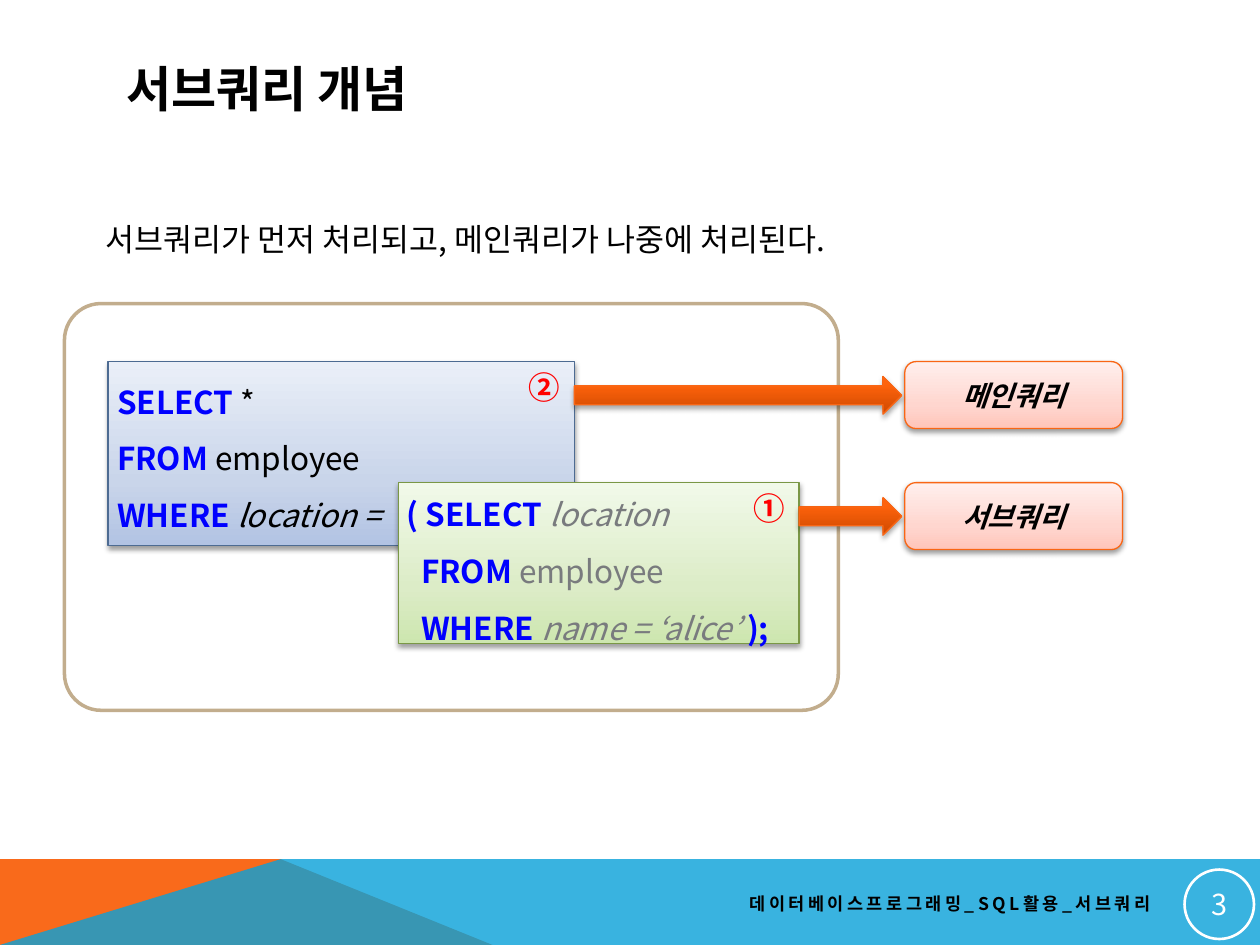
from dataclasses import dataclass

from pptx import Presentation
from pptx.dml.color import RGBColor
from pptx.enum.shapes import MSO_SHAPE
from pptx.enum.text import MSO_ANCHOR, PP_ALIGN
from pptx.oxml import parse_xml
from pptx.oxml.ns import qn
from pptx.util import Cm, Pt

RECTANGLE = MSO_SHAPE.RECTANGLE
ROUNDED = MSO_SHAPE.ROUNDED_RECTANGLE
ARROW = MSO_SHAPE.RIGHT_ARROW
OVAL = MSO_SHAPE.OVAL
MIDDLE, TOP = MSO_ANCHOR.MIDDLE, MSO_ANCHOR.TOP
LEFT, CENTER, RIGHT = PP_ALIGN.LEFT, PP_ALIGN.CENTER, PP_ALIGN.RIGHT

FONT = "Noto Sans CJK KR"
NAMESPACE = 'xmlns:a="http://schemas.openxmlformats.org/drawingml/2006/main"'
COLORS = {
    "black": "000000", "white": "FFFFFF", "keyword": "0000FF", "muted": "797B7E",
    "number": "FF0000", "frame": "C2AD8D", "orange": "F96A1B", "band": "08A1D9",
}
MAIN_TOP, SUB_TOP = 7.29, 9.73
ARROW_TIP = 18.18


@dataclass(frozen=True)
class Box:
    left: float
    top: float
    width: float
    height: float

    def lengths(self) -> list:
        return [Cm(value) for value in (self.left, self.top, self.width, self.height)]


@dataclass(frozen=True)
class Style:
    stops: tuple
    line: str
    shadow_alpha: int = 38
    shadow_distance: float = 1.6


@dataclass(frozen=True)
class Piece:
    """A stretch of text in one format."""
    text: str
    color: str = "black"
    bold: bool = False
    italic: bool = False


BLUE = Style(((0, "B2C3E3"), (35, "C9D5EA"), (100, "EAEFF8")), "4D6B92")
GREEN = Style(((0, "CDE6AF"), (35, "DCECC7"), (100, "F1F9E9")), "7A9746")
PINK = Style(((0, "FFC5BA"), (35, "FFD6CF"), (100, "FFEFED")), "F96615")
ORANGE = Style(((0, "CE4900"), (80, "FF630C"), (100, "FF640E")), "F96615", 35, 1.8)


def keyword(text: str) -> Piece:
    return Piece(text, "keyword", bold=True)


MAIN_QUERY = [
    [keyword("SELECT"), Piece(" *")],
    [keyword("FROM"), Piece(" employee")],
    [keyword("WHERE "), Piece("location =", italic=True)],
]
SUB_QUERY = [
    [keyword("( SELECT "), Piece("location", "muted", italic=True)],
    [keyword("  FROM"), Piece(" employee", "muted")],
    [keyword("  WHERE "), Piece("name = ‘alice’ ", "muted", italic=True), keyword(");")],
]


def rgb(name: str) -> RGBColor:
    return RGBColor.from_string(COLORS[name])


def write(shape, lines: list, size: float, align=LEFT, anchor=MIDDLE,
          line_spacing: float = 1.0, tracking: float = 0) -> None:
    text_frame = shape.text_frame
    text_frame.vertical_anchor = anchor
    for index, pieces in enumerate(lines):
        paragraph = text_frame.add_paragraph() if index else text_frame.paragraphs[0]
        paragraph.alignment = align
        paragraph.line_spacing = line_spacing
        for piece in pieces:
            run = paragraph.add_run()
            run.text = piece.text
            font = run.font
            font.size, font.name = Pt(size), FONT
            font.bold, font.italic = piece.bold, piece.italic
            font.color.rgb = rgb(piece.color)
            properties = run._r.get_or_add_rPr()
            properties.append(parse_xml(f'<a:ea {NAMESPACE} typeface="{FONT}"/>'))
            if tracking:
                properties.set("spc", str(int(tracking * 100)))


def add_text(slide, box: Box, lines: list, size: float, wrap: bool = True, **layout):
    shape = slide.shapes.add_textbox(*box.lengths())
    shape.text_frame.word_wrap = wrap
    write(shape, lines, size, **layout)


def add_styled(slide, kind, box: Box, style: Style):
    """Add a preset shape with an upward gradient, thin line and soft shadow."""
    shape = slide.shapes.add_shape(kind, *box.lengths())
    shape.line.color.rgb = RGBColor.from_string(style.line)
    shape.line.width = Pt(0.75)
    shape.shadow.inherit = False
    shape.fill.background()
    properties = shape._element.spPr
    stops = "".join(f'<a:gs pos="{position * 1000}"><a:srgbClr val="{color}"/></a:gs>'
                    for position, color in style.stops)
    gradient = parse_xml(f'<a:gradFill {NAMESPACE} rotWithShape="1"><a:gsLst>{stops}</a:gsLst>'
                         '<a:lin ang="16200000" scaled="0"/></a:gradFill>')
    properties.replace(properties.find(qn("a:noFill")), gradient)
    properties.find(qn("a:effectLst")).append(parse_xml(
        f'<a:outerShdw {NAMESPACE} blurRad="{Pt(3.1)}" dist="{Pt(style.shadow_distance)}" '
        'dir="5400000" rotWithShape="0"><a:srgbClr val="000000">'
        f'<a:alpha val="{style.shadow_alpha * 1000}"/></a:srgbClr></a:outerShdw>'))
    return shape


def add_polygon(slide, points: list, color: str, opacity: int = 100) -> None:
    vertices = [(Cm(x), Cm(y)) for x, y in points]
    builder = slide.shapes.build_freeform(*vertices[0])
    builder.add_line_segments(vertices[1:], close=True)
    shape = builder.convert_to_shape()
    shape.shadow.inherit = False
    shape.fill.solid()
    shape.fill.fore_color.rgb = rgb(color)
    shape.line.fill.background()
    if opacity < 100:
        shape._element.spPr.find(qn("a:solidFill"))[0].append(
            parse_xml(f'<a:alpha {NAMESPACE} val="{opacity * 1000}"/>'))


def add_outlined(slide, kind, box: Box, color: str, width: float):
    shape = slide.shapes.add_shape(kind, *box.lengths())
    shape.shadow.inherit = False
    shape.fill.background()
    shape.line.color.rgb = rgb(color)
    shape.line.width = Pt(width)
    return shape


def add_footer(slide) -> None:
    bottom, top, peak = 19.05, 17.32, 5.66
    add_polygon(slide, [(0, bottom), (0, top), (peak, top), (9.93, bottom)], "orange")
    add_polygon(slide, [(0, bottom), (peak, top), (25.4, top), (25.4, bottom)], "band", 80)
    badge = add_outlined(slide, OVAL, Box(23.88, 17.53, 1.4, 1.4), "white", 1.5)
    frame = badge.text_frame
    frame.margin_left = frame.margin_right = frame.margin_top = frame.margin_bottom = Cm(0.03)
    write(badge, [[Piece("3", "white")]], 16.5, CENTER)
    add_text(slide, Box(10.31, 17.83, 13.13, 0.76),
             [[Piece("데이터베이스프로그래밍_SQL활용_서브쿼리", bold=True)]],
             10, align=RIGHT, tracking=2)


def add_query_diagram(slide) -> None:
    frame = add_outlined(slide, ROUNDED, Box(1.3, 6.12, 15.6, 8.2), "frame", 2)
    frame.adjustments[0] = 0.09
    frame.fill.solid()
    frame.fill.fore_color.rgb = rgb("white")
    main_box = Box(2.18, MAIN_TOP, 9.4, 3.71)
    sub_box = Box(8.03, SUB_TOP, 8.08, 3.25)
    add_styled(slide, RECTANGLE, main_box, BLUE)
    add_styled(slide, RECTANGLE, sub_box, GREEN)
    add_text(slide, Box(2.11, MAIN_TOP, 6.6, 3.51), MAIN_QUERY, 18, line_spacing=1.5)
    add_text(slide, Box(7.95, 9.3, 11.81, 4.04), SUB_QUERY, 18, line_spacing=1.5)
    for box, number, label in ((main_box, "②", "메인쿼리"), (sub_box, "①", "서브쿼리")):
        right = box.left + box.width
        add_text(slide, Box(right - 1.17, box.top, 1.14, 1.02),
                 [[Piece(number, "number", bold=True)]], 18, wrap=False, anchor=TOP)
        target = add_styled(slide, ROUNDED, Box(18.24, box.top, 4.39, 1.35), PINK)
        write(target, [[Piece(label, bold=True, italic=True)]], 16, CENTER)
        add_styled(slide, ARROW, Box(right, box.top + 0.3, ARROW_TIP - right, 0.76), ORANGE)


def main() -> None:
    presentation = Presentation()
    presentation.slide_width, presentation.slide_height = Cm(25.4), Cm(19.05)
    slide = presentation.slides.add_slide(presentation.slide_layouts[5])
    add_footer(slide)
    title = slide.shapes.title
    title.left, title.top, title.width, title.height = Box(2.29, 1.02, 20.88, 1.52).lengths()
    write(title, [[Piece("서브쿼리 개념", bold=True)]], 28)
    add_text(slide, Box(1.88, 4.32, 16.54, 1.02),
             [[Piece("서브쿼리가 먼저 처리되고, 메인쿼리가 나중에 처리된다.")]],
             18, wrap=False, anchor=TOP)
    add_query_diagram(slide)
    presentation.save("out.pptx")


if __name__ == "__main__":
    main()
